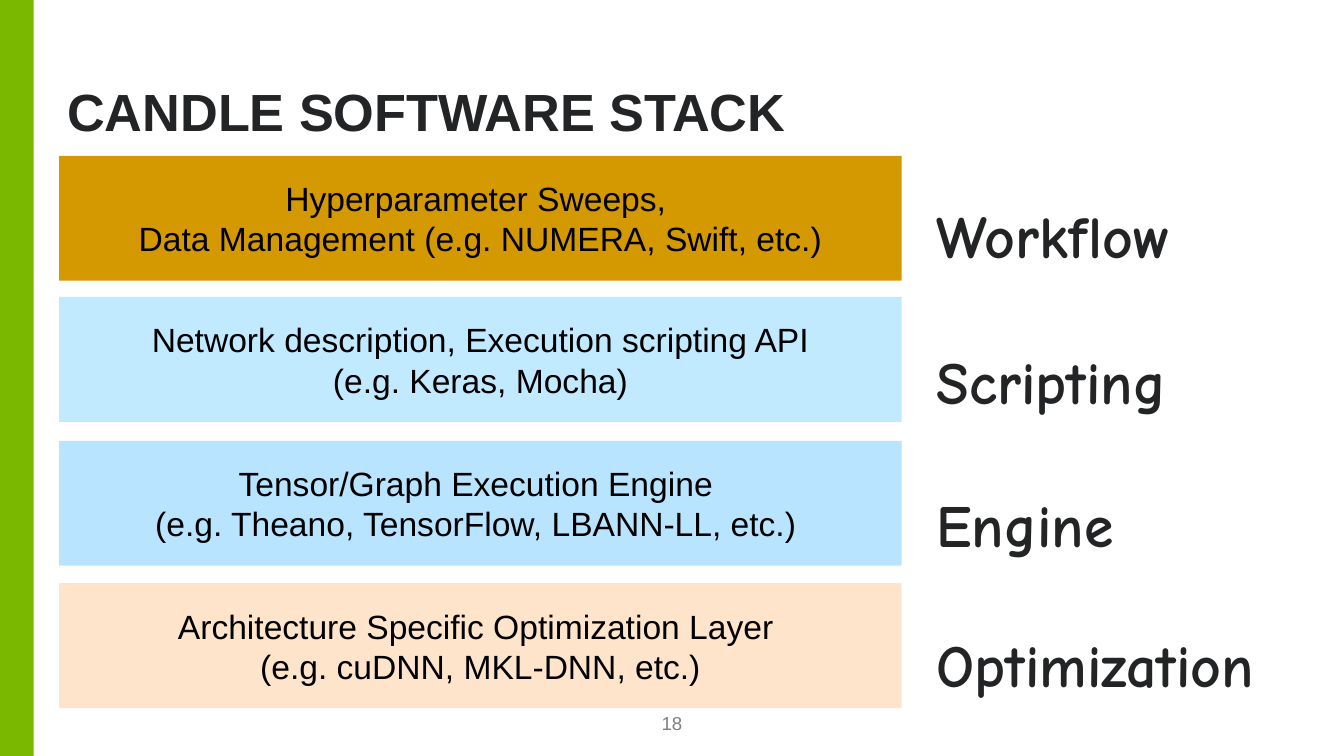
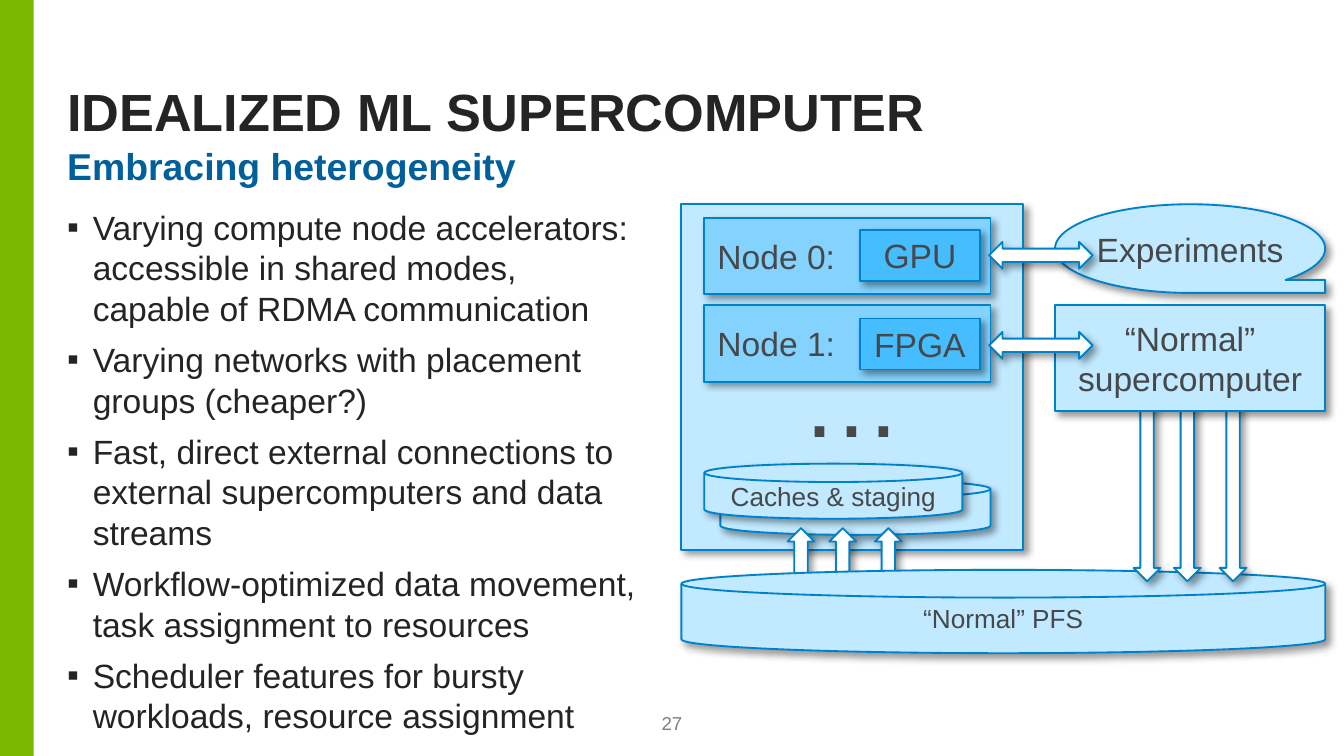
import lxml.etree
import pptx
import pptx.dml.color
import pptx.enum.shapes
import pptx.enum.text
import pptx.oxml.ns
import pptx.util

Inches, Pt = pptx.util.Inches, pptx.util.Pt
qn = pptx.oxml.ns.qn
SHAPE = pptx.enum.shapes.MSO_SHAPE
ALIGN = pptx.enum.text.PP_ALIGN
ANCHOR = pptx.enum.text.MSO_ANCHOR

WIDTH = 10
HEIGHT = WIDTH * 9 / 16
GREEN, NAVY, BLUE = "7AB800", "00609C", "0082CA"
PALE, LIGHT, BRIGHT, WHITE = "C1E9FF", "84D3FF", "46BDFF", "FFFFFF"
INK, GREY, NUMBER_GREY, BLACK = "232425", "47484A", "808080", "000000"


def write(shape, text, size=18, color=GREY, font="Arial", bold=False, align=ALIGN.LEFT,
          anchor=ANCHOR.MIDDLE, insets=(0.1, 0.05, 0.1, 0.05), wrap=True,
          line_spacing=None, space_before=None, bullet=None):
    """Fill a shape with text; bullet="" switches an inherited bullet off."""
    frame = shape.text_frame
    frame.text = text
    frame.word_wrap = wrap
    frame.auto_size = pptx.enum.text.MSO_AUTO_SIZE.NONE
    frame.vertical_anchor = anchor
    frame.margin_left, frame.margin_top, frame.margin_right, frame.margin_bottom = map(Inches, insets)
    for paragraph in frame.paragraphs:
        paragraph.alignment = align
        if line_spacing is not None:
            paragraph.line_spacing = line_spacing
        if space_before is not None:
            paragraph.space_before = Pt(space_before)
        for run in paragraph.runs:
            run.font.size, run.font.name, run.font.bold = Pt(size), font, bold
            run.font.color.rgb = pptx.dml.color.RGBColor.from_string(color)
    for line_break in shape.element.iter(qn("a:br")):
        lxml.etree.SubElement(line_break, qn("a:rPr"), sz=str(size * 100))
    if bullet is not None:
        for properties in shape.element.iter(qn("a:pPr")):
            indent = Inches(0.19) if bullet else 0
            properties.set("marL", str(indent))
            properties.set("indent", str(-indent))
            if bullet:
                lxml.etree.SubElement(properties, qn("a:buChar"), char=bullet)
            else:
                lxml.etree.SubElement(properties, qn("a:buNone"))


def add_block(slide, kind, box, fill, outlined=True, rotation=0):
    """Add a filled shape; an outlined one also casts a soft shadow."""
    block = slide.shapes.add_shape(kind, *map(Inches, box))
    block.rotation = rotation
    block.fill.solid()
    block.fill.fore_color.rgb = pptx.dml.color.RGBColor.from_string(fill)
    block.shadow.inherit = False
    if not outlined:
        block.line.fill.background()
        return block
    block.line.color.rgb = pptx.dml.color.RGBColor.from_string(BLUE)
    block.line.width = Pt(1)
    effects = block.element.spPr.find(qn("a:effectLst"))
    shadow = lxml.etree.SubElement(effects, qn("a:outerShdw"), blurRad=str(Pt(4)), dist=str(Pt(3)),
                                   dir="2700000", algn="tl", rotWithShape="0")
    shade = lxml.etree.SubElement(shadow, qn("a:srgbClr"), val=BLACK)
    lxml.etree.SubElement(shade, qn("a:alpha"), val="40000")
    return block


deck = pptx.Presentation()
deck.slide_width, deck.slide_height = Inches(WIDTH), Inches(HEIGHT)
stack = deck.slides.add_slide(deck.slide_layouts[5])
machine = deck.slides.add_slide(deck.slide_layouts[3])

# The green band belongs to the master, behind everything else
band = add_block(stack, SHAPE.RECTANGLE, (0, 0, 0.25, HEIGHT), GREEN, outlined=False)
deck.slide_master.shapes.element.insert(2, band.element)

for slide, heading, number in [(stack, "CANDLE SOFTWARE STACK", "18"),
                               (machine, "IDEALIZED ML SUPERCOMPUTER", "27")]:
    title = slide.shapes.title
    title.left, title.top, title.width, title.height = map(Inches, (0.5, 0.39, 9.16, 0.68))
    write(title, heading, size=28, color=INK, bold=True, anchor=ANCHOR.BOTTOM,
          insets=(0, 0, 0, 0), line_spacing=0.95)
    page = slide.shapes.add_textbox(*map(Inches, (4.75, 5.31, 0.5, 0.15)))
    write(page, number, size=10, color=NUMBER_GREY, align=ALIGN.CENTER,
          anchor=ANCHOR.BOTTOM, insets=(0, 0.05, 0, 0))

# Software stack
layers = [
    ("Hyperparameter Sweeps, \nData Management (e.g. NUMERA, Swift, etc.)", "D49900", 1.16,
     "Workflow", 1.43, 2.21),
    ("Network description, Execution scripting API\n(e.g. Keras, Mocha)", PALE, 2.21,
     "Scripting", 2.52, 2.14),
    ("Tensor/Graph Execution Engine \n(e.g. Theano, TensorFlow, LBANN-LL, etc.) ", "B8E4FF", 3.28,
     "Engine", 3.58, 1.7),
    ("Architecture Specific Optimization Layer \n(e.g. cuDNN, MKL-DNN, etc.)", "FFE4CC", 4.34,
     "Optimization", 4.62, 2.92),
]
for description, fill, layer_top, role, role_top, role_width in layers:
    layer = add_block(stack, SHAPE.RECTANGLE, (0.44, layer_top, 6.27, 0.93), fill, outlined=False)
    write(layer, description, color=BLACK, align=ALIGN.CENTER)
    role_label = stack.shapes.add_textbox(*map(Inches, (6.87, role_top, role_width, 0.64)))
    write(role_label, role, size=32, color=INK, font="Comic Neue", bold=True,
          anchor=ANCHOR.TOP, wrap=False)

# Idealized supercomputer: points on the left
points = [
    "Varying compute node accelerators:\vaccessible in shared modes, \vcapable of RDMA communication",
    "Varying networks with placement groups (cheaper?)",
    "Fast, direct external connections to external supercomputers and data streams",
    "Workflow-optimized data movement, task assignment to resources",
    "Scheduler features for bursty workloads, resource assignment",
]
features, subtitle = machine.placeholders[1], machine.placeholders[2]
features.left, features.top, features.width, features.height = map(Inches, (0.5, 1.54, 4.57, 3.98))
write(features, "\n".join(points), color=INK, anchor=ANCHOR.TOP, insets=(0, 0, 0, 0.05),
      space_before=6, bullet="▪")
subtitle.left, subtitle.top, subtitle.width, subtitle.height = map(Inches, (0.5, 1.1, 9.16, 0.41))
write(subtitle, "Embracing heterogeneity", size=20, color=NAVY, bold=True, anchor=ANCHOR.TOP,
      insets=(0, 0, 0, 0), line_spacing=0.9, space_before=0, bullet="")

# Idealized supercomputer: diagram on the right
cluster = add_block(machine, SHAPE.RECTANGLE, (5.07, 1.52, 2.54, 2.57), PALE)
write(cluster, "…", size=54, align=ALIGN.CENTER, insets=(0.1, 0.35, 0.1, 0.05))

for row, accelerator in enumerate(["GPU", "FPGA"]):
    node = add_block(machine, SHAPE.RECTANGLE, (5.24, 1.62 + 0.65 * row, 2.13, 0.57), LIGHT)
    write(node, f"Node {row}:")
    chip = add_block(machine, SHAPE.RECTANGLE, (6.4, 1.71 + 0.66 * row, 0.89, 0.38), BRIGHT)
    write(chip, accelerator, align=ALIGN.CENTER)

add_block(machine, SHAPE.FLOWCHART_MAGNETIC_DISK, (5.36, 3.57, 2.01, 0.41), PALE)
caches = add_block(machine, SHAPE.FLOWCHART_MAGNETIC_DISK, (5.24, 3.45, 1.92, 0.41), PALE)
write(caches, "Caches & staging", size=14, align=ALIGN.CENTER)

for upload_left in (5.73, 6.04, 6.38):
    add_block(machine, SHAPE.LEFT_ARROW, (upload_left, 4.06, 0.46, 0.2), WHITE, rotation=90)

file_system = add_block(machine, SHAPE.FLOWCHART_MAGNETIC_DISK, (5.07, 4.24, 4.79, 0.62), PALE)
write(file_system, "“Normal” PFS", size=14, align=ALIGN.CENTER)

for download_left in (7.86, 8.16, 8.5):
    add_block(machine, SHAPE.LEFT_ARROW, (download_left, 3.55, 1.35, 0.2), WHITE, rotation=270)

supercomputer = add_block(machine, SHAPE.RECTANGLE, (7.85, 2.27, 2.01, 0.79), PALE)
write(supercomputer, "“Normal” supercomputer", align=ALIGN.CENTER)
experiments = add_block(machine, SHAPE.FLOWCHART_SEQUENTIAL_ACCESS_STORAGE,
                        (7.85, 1.52, 2.01, 0.66), PALE)
write(experiments, "Experiments", align=ALIGN.CENTER, insets=(0, 0.05, 0, 0.05))

for link_top in (1.8, 2.47):
    add_block(machine, SHAPE.LEFT_RIGHT_ARROW, (7.36, link_top, 0.77, 0.2), WHITE)

deck.save("out.pptx")
